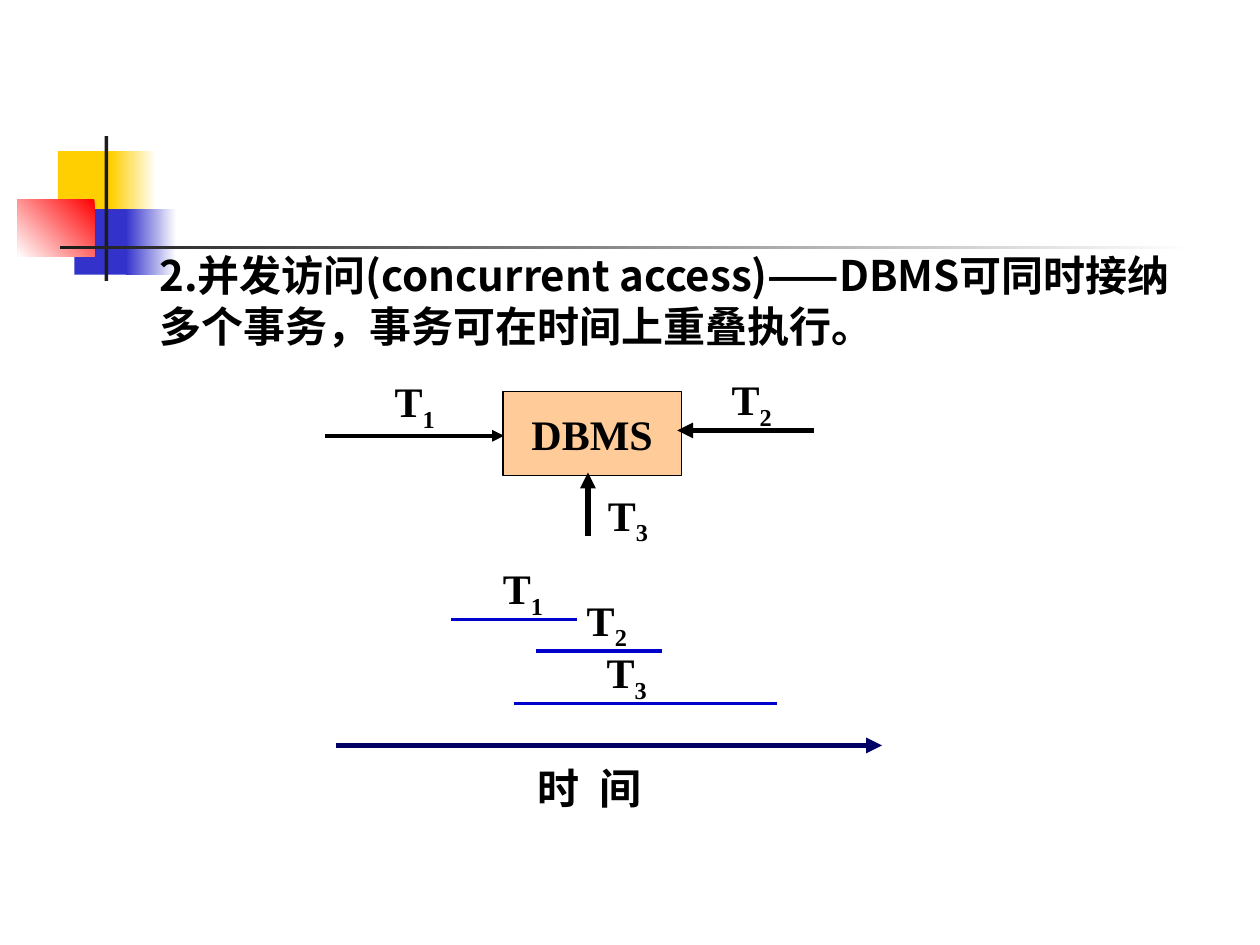
from typing import NamedTuple, Optional

import pptx
import pptx.dml.color
import pptx.enum.shapes
import pptx.enum.text
import pptx.oxml
import pptx.oxml.ns
import pptx.util

WIDTH, HEIGHT = 10, 7.5
COLS, ROWS = 120, 90  # grid for the diagrams, a twelfth of an inch per cell
COLORS = {
    "white": "FFFFFF", "black": "000000", "yellow": "FFCF01", "blue": "3333CC",
    "red": "FF0000", "dark": "1C1C1C", "peach": "FFCC99",
    "navy": "000066", "span": "0000CC",
}
SERIF, SANS = "Times New Roman", "Noto Sans CJK SC"
ALIGN = pptx.enum.text.PP_ALIGN
ANCHOR = pptx.enum.text.MSO_ANCHOR
qn = pptx.oxml.ns.qn


class Block(NamedTuple):
    """Decoration, in inches; two colours make a gradient."""
    x: float
    y: float
    w: float
    h: float
    colors: tuple
    angle: float = 180


class Line(NamedTuple):
    """Line between two grid points."""
    x1: float
    y1: float
    x2: float
    y2: float
    color: str
    weight: float
    arrow: bool = False


class Label(NamedTuple):
    """Transaction name, with the grid position of its box."""
    col: float
    row: float
    number: str


def rgb(name: str) -> pptx.dml.color.RGBColor:
    return pptx.dml.color.RGBColor.from_string(COLORS[name])


def gx(col: float) -> int:
    return pptx.util.Inches(WIDTH * col / COLS)


def gy(row: float) -> int:
    return pptx.util.Inches(HEIGHT * row / ROWS)


def write(sp, text: str, *, sub: str = "", font: str = SERIF, size: float = 24,
          align=ALIGN.LEFT, anchor=ANCHOR.TOP, wrap: bool = False,
          spacing: int = 0) -> None:
    """Fill a shape with bold text and an optional subscript."""
    tf = sp.text_frame
    tf.word_wrap = wrap
    tf.vertical_anchor = anchor
    p = tf.paragraphs[0]
    p.alignment = align
    for part, base in ((text, 0), (sub, -25000)):
        if not part:
            continue
        r = p.add_run()
        r.text = part
        r.font.size = pptx.util.Pt(size)
        r.font.bold = True
        r.font.color.rgb = rgb("black")
        r.font.name = font
        rpr = r.font._element
        ea = pptx.oxml.parse_xml(
            f'<a:ea {pptx.oxml.ns.nsdecls("a")} typeface="{SANS}"/>')
        rpr.find(qn("a:latin")).addnext(ea)
        if base:
            rpr.set("baseline", str(base))
        if spacing:
            rpr.set("spc", str(spacing))


def add_rect(shapes, x: int, y: int, w: int, h: int):
    sp = shapes.add_shape(pptx.enum.shapes.MSO_SHAPE.RECTANGLE, x, y, w, h)
    sp.shadow.inherit = False
    sp.line.fill.background()
    return sp


def add_block(shapes, block: Block) -> None:
    sp = add_rect(shapes, *(pptx.util.Inches(v) for v in block[:4]))
    if len(block.colors) == 1:
        sp.fill.solid()
        sp.fill.fore_color.rgb = rgb(block.colors[0])
        return
    sp.fill.gradient()
    sp.fill.gradient_angle = block.angle
    for stop, name, position in zip(sp.fill.gradient_stops, block.colors, (0, 1)):
        stop.color.rgb = rgb(name)
        stop.position = position


def add_line(shapes, line: Line) -> None:
    cx = shapes.add_connector(
        pptx.enum.shapes.MSO_CONNECTOR.STRAIGHT,
        gx(line.x1), gy(line.y1), gx(line.x2), gy(line.y2))
    cx.line.color.rgb = rgb(line.color)
    cx.line.width = pptx.util.Pt(line.weight)
    if line.arrow:
        cx.line._get_or_add_ln().append(pptx.oxml.parse_xml(
            f'<a:tailEnd {pptx.oxml.ns.nsdecls("a")} type="triangle"/>'))
    cx._element.spPr.append(pptx.oxml.parse_xml(
        f'<a:effectLst {pptx.oxml.ns.nsdecls("a")}/>'))


def add_text(shapes, col: float, row: float, cols: float, rows: float,
             text: str, **fmt) -> None:
    write(shapes.add_textbox(gx(col), gy(row), gx(cols), gy(rows)), text, **fmt)


def add_diagram(shapes, lines: list, labels: list) -> None:
    for line in lines:
        add_line(shapes, line)
    for label in labels:
        add_text(shapes, label.col, label.row, 6.25, 6.75, "T", sub=label.number)


DECORATION = [
    Block(0.46, 1.2, 0.48, 0.52, ("yellow",)),
    Block(0.88, 1.2, 0.36, 0.52, ("white", "yellow")),
    Block(0.59, 1.66, 0.46, 0.52, ("blue",)),
    Block(1, 1.66, 0.4, 0.52, ("white", "blue")),
    Block(0.14, 1.58, 0.61, 0.46, ("red", "white"), 225),
    Block(0.83, 1.08, 0.03, 1.15, ("dark",)),
    Block(0.48, 1.95, 9, 0.03, ("white", "dark")),
]
ACCESS_LINES = [
    Line(31, 41.5, 48, 41.5, "black", 2.25, True),
    Line(77.5, 41, 64.5, 41, "black", 3, True),
    Line(56, 51, 56, 45, "black", 3, True),
]
ACCESS_LABELS = [Label(36.4, 35.2, "1"), Label(68.5, 35, "2"), Label(56.7, 46, "3")]
TIME_LINES = [
    Line(32, 71, 84, 71, "navy", 3, True),
    Line(43, 59, 55, 59, "span", 2.25),
    Line(51, 62, 63, 62, "span", 2.25),
    Line(49, 67, 74, 67, "span", 2.25),
]
TIME_LABELS = [Label(46.7, 53, "1"), Label(54.7, 56, "2"), Label(56.6, 61, "3")]


def main() -> None:
    prs = pptx.Presentation()
    prs.slide_width = pptx.util.Inches(WIDTH)
    prs.slide_height = pptx.util.Inches(HEIGHT)
    s = prs.slides.add_slide(prs.slide_layouts[6])

    # Corner decoration and rule
    for block in DECORATION:
        add_block(s.shapes, block)

    # Statement
    add_text(s.shapes, 14, 23.2, 100, 10.8,
             "2.并发访问(concurrent access)——DBMS可同时接纳多个事务，事务可在时间上重叠执行。",
             font=SANS, wrap=True)

    # Transactions reaching the DBMS
    access = s.shapes.add_group_shape().shapes
    box = add_rect(access, gx(47.9), gy(37.3), gx(17), gy(8))
    box.fill.solid()
    box.fill.fore_color.rgb = rgb("peach")
    box.line.color.rgb = rgb("black")
    box.line.width = pptx.util.Pt(0.75)
    write(box, "DBMS", align=ALIGN.CENTER, anchor=ANCHOR.MIDDLE)
    add_diagram(access, ACCESS_LINES, ACCESS_LABELS)

    # Overlapping execution along the time axis
    timeline = s.shapes.add_group_shape().shapes
    add_diagram(timeline, TIME_LINES, TIME_LABELS)
    add_text(timeline, 50, 72, 19, 6, "时 间", wrap=True, spacing=300)

    prs.save("out.pptx")


if __name__ == "__main__":
    main()
